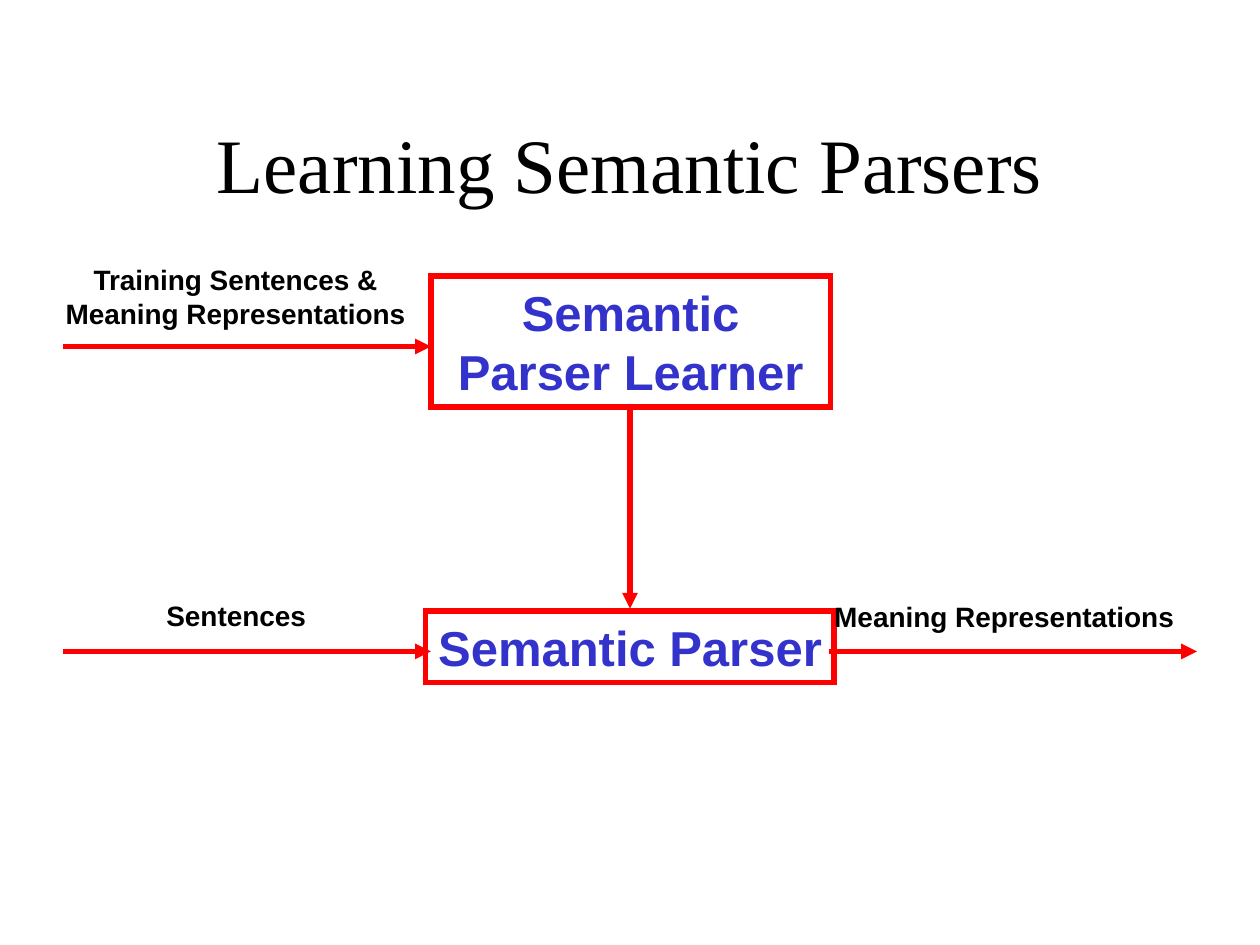
from dataclasses import dataclass

from lxml import etree
from pptx import Presentation
from pptx.dml.color import RGBColor
from pptx.enum.shapes import MSO_CONNECTOR, MSO_SHAPE
from pptx.enum.text import MSO_ANCHOR, MSO_AUTO_SIZE, PP_ALIGN
from pptx.oxml.ns import qn
from pptx.util import Inches, Pt

CENTER = PP_ALIGN.CENTER
MIDDLE = MSO_ANCHOR.MIDDLE
NO_FIT = MSO_AUTO_SIZE.NONE
GROW = MSO_AUTO_SIZE.SHAPE_TO_FIT_TEXT
RECT = MSO_SHAPE.RECTANGLE
STRAIGHT = MSO_CONNECTOR.STRAIGHT
TITLE_ONLY = 5


@dataclass(frozen=True)
class Theme:
    ink: RGBColor = RGBColor(0x00, 0x00, 0x00)
    accent: RGBColor = RGBColor(0x33, 0x33, 0xCC)
    line: RGBColor = RGBColor(0xFF, 0x00, 0x00)
    title_font: str = "Times New Roman"
    body_font: str = "Arial"
    title_size: int = 44
    box_size: int = 28
    label_size: int = 16
    line_width: int = 3


THEME = Theme()


def write(tf, text, *, size, color, font=THEME.body_font, bold=True,
          wrap=False, fit=GROW, inset=0.1):
    tf.word_wrap = wrap
    tf.auto_size = fit
    tf.vertical_anchor = MIDDLE
    tf.margin_left = tf.margin_right = Inches(inset)
    for i, line in enumerate(text.split("\n")):
        p = tf.paragraphs[0] if i == 0 else tf.add_paragraph()
        p.alignment = CENTER
        r = p.add_run()
        r.text = line
        r.font.name = font
        r.font.size = Pt(size)
        r.font.bold = bold
        r.font.color.rgb = color


def add_title(s, text, box):
    sp = s.shapes.title
    sp.left, sp.top, sp.width, sp.height = map(Inches, box)
    write(sp.text_frame, text, size=THEME.title_size, color=THEME.ink,
          font=THEME.title_font, bold=False, wrap=True, fit=NO_FIT)


def add_box(s, text, box, inset):
    sp = s.shapes.add_shape(RECT, *map(Inches, box))
    sp.shadow.inherit = False
    sp.fill.background()
    sp.line.color.rgb = THEME.line
    sp.line.width = Pt(THEME.line_width)
    etree.SubElement(sp.line._get_or_add_ln(), qn("a:miter"), lim="800000")
    write(sp.text_frame, text, size=THEME.box_size, color=THEME.accent,
          wrap=True, fit=NO_FIT, inset=inset)


def add_label(s, text, box):
    sp = s.shapes.add_textbox(*map(Inches, box))
    write(sp.text_frame, text, size=THEME.label_size, color=THEME.ink)


def add_arrow(s, start, end):
    cx = s.shapes.add_connector(STRAIGHT, *map(Inches, start + end))
    cx.line.color.rgb = THEME.line
    cx.line.width = Pt(THEME.line_width)
    etree.SubElement(cx.line._get_or_add_ln(), qn("a:tailEnd"), type="triangle")
    etree.SubElement(cx._element.spPr, qn("a:effectLst"))


def add_diagram(s, box):
    left, top, width, height = box
    right, bottom, mid = left + width, top + height, left + width / 2
    arrow_len = 2.92
    learner_y, parser_y = top + 0.56, bottom - 0.25

    add_box(s, "Semantic Parser Learner", (mid - 1.58, top, 3.17, 1.04), 0.1)
    add_box(s, "Semantic Parser", (mid - 1.62, bottom - 0.57, 3.24, 0.57), 0.02)

    add_label(s, "Meaning Representations", (right - 2.98, parser_y - 0.46, 2.9, 0.37))
    add_label(s, "Sentences", (left + 0.72, parser_y - 0.47, 1.31, 0.37))
    add_label(s, "Training Sentences &\nMeaning Representations",
              (left - 0.08, learner_y - 0.72, 2.9, 0.64))

    add_arrow(s, (left, learner_y), (left + arrow_len, learner_y))
    add_arrow(s, (mid, top + 1.06), (mid, bottom - 0.59))
    for x in (left, right - arrow_len):
        add_arrow(s, (x, parser_y), (x + arrow_len, parser_y))


def main():
    prs = Presentation()
    prs.slide_width, prs.slide_height = Inches(10), Inches(7.5)
    s = prs.slides.add_slide(prs.slide_layouts[TITLE_ONLY])
    add_title(s, "Learning Semantic Parsers", (0.75, 0.67, 8.5, 1.25))
    add_diagram(s, (0.5, 2.19, 9, 3.23))
    prs.save("out.pptx")


if __name__ == "__main__":
    main()
